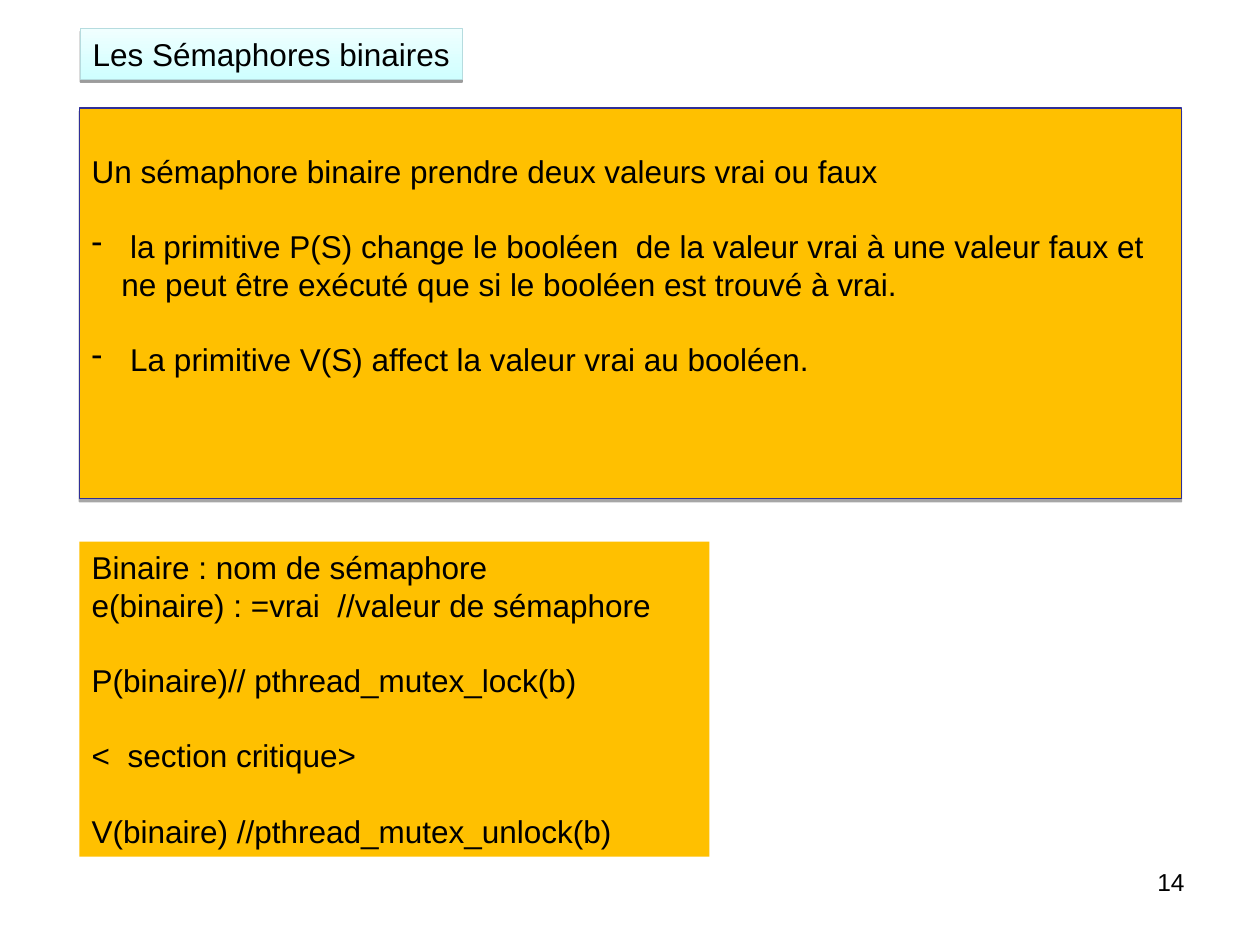
from dataclasses import dataclass
from typing import Optional

import pptx
import pptx.dml.color
import pptx.enum.shapes
import pptx.enum.text
import pptx.oxml
import pptx.oxml.ns
import pptx.util
from pptx.util import Cm

ALIGN = pptx.enum.text.PP_ALIGN


@dataclass(frozen=True)
class Theme:
    font: str = "Arial"
    body: float = 18
    number: float = 14
    leading: float = 1.195
    text: str = "000000"
    amber: str = "FFC000"
    navy: str = "2F2F98"
    pale_cyan: tuple = ("F0FFFF", "CFFFFF")
    cyan_edge: str = "B6DCDF"


@dataclass(frozen=True)
class Line:
    text: str
    gap: bool = False
    bullet: bool = False


@dataclass(frozen=True)
class Shadow:
    distance: float
    opacity: int


@dataclass(frozen=True)
class Panel:
    left: float
    top: float
    width: float
    height: float
    lines: tuple
    fill: Optional[str | tuple] = None
    edge: Optional[str] = None
    shadow: Optional[Shadow] = None
    top_inset: float = 0.13
    wrap: bool = True
    size: float = 18
    align: ALIGN = ALIGN.LEFT


THEME = Theme()

PANELS = (
    Panel(18.21, 17.35, 5.92, 1.32, (Line("14"),), size=THEME.number, align=ALIGN.RIGHT),
    Panel(1.6, 2.18, 22.22, 7.87, (
        Line("Un sémaphore binaire prendre deux valeurs vrai ou faux"),
        Line(" la primitive P(S) change le booléen  de la valeur vrai à une valeur faux et "
             "ne peut être exécuté que si le booléen est trouvé à vrai.", gap=True, bullet=True),
        Line(" La primitive V(S) affect la valeur vrai au booléen.", gap=True, bullet=True),
    ), THEME.amber, THEME.navy, Shadow(1.8, 35), top_inset=0.89),
    Panel(1.62, 0.58, 7.7, 1.02, (Line("Les Sémaphores binaires"),),
          THEME.pale_cyan, THEME.cyan_edge, Shadow(1.6, 38), wrap=False),
    Panel(1.6, 10.92, 12.7, 6.35, (
        Line("Binaire : nom de sémaphore"),
        Line("e(binaire) : =vrai  //valeur de sémaphore"),
        Line("P(binaire)// pthread_mutex_lock(b)", gap=True),
        Line("<  section critique>", gap=True),
        Line("V(binaire) //pthread_mutex_unlock(b)", gap=True),
    ), THEME.amber),
)


def rgb(code: str) -> pptx.dml.color.RGBColor:
    return pptx.dml.color.RGBColor.from_string(code)


def set_all(target, values: dict) -> None:
    for name, value in values.items():
        setattr(target, name, value)


def add_shadow(sp, shadow: Shadow) -> None:
    """Drop a hard shadow straight down from the shape."""
    effects = sp._element.spPr.find(pptx.oxml.ns.qn("a:effectLst"))
    effects.append(pptx.oxml.parse_xml(
        f'<a:outerShdw {pptx.oxml.ns.nsdecls("a")} blurRad="0" '
        f'dist="{pptx.util.Pt(shadow.distance)}" dir="5400000" rotWithShape="0">'
        f'<a:srgbClr val="{THEME.text}"><a:alpha val="{shadow.opacity * 1000}"/></a:srgbClr>'
        '</a:outerShdw>'))


def add_bullet(p) -> None:
    indent = Cm(0.6)
    pPr = p._p.get_or_add_pPr()
    pPr.set("marL", str(indent))
    pPr.set("indent", str(-indent))
    pPr.append(pptx.oxml.parse_xml(
        f'<a:buChar {pptx.oxml.ns.nsdecls("a")} char="-"/>'))


def paint(sp, panel: Panel) -> None:
    sp.shadow.inherit = False
    if isinstance(panel.fill, tuple):
        sp.fill.gradient()
        sp.fill.gradient_angle = 270
        for stop, code in zip(sp.fill.gradient_stops, panel.fill):
            stop.color.rgb = rgb(code)
    else:
        sp.fill.solid()
        sp.fill.fore_color.rgb = rgb(panel.fill)
    if panel.edge:
        sp.line.color.rgb = rgb(panel.edge)
        sp.line.width = pptx.util.Pt(0.75)
    else:
        sp.line.fill.background()
    if panel.shadow:
        add_shadow(sp, panel.shadow)


def write(tf, panel: Panel) -> None:
    set_all(tf, {
        "word_wrap": panel.wrap,
        "vertical_anchor": pptx.enum.text.MSO_ANCHOR.TOP,
        "margin_left": Cm(0.25), "margin_right": Cm(0.25),
        "margin_top": Cm(panel.top_inset), "margin_bottom": Cm(0.13),
    })
    leading = pptx.util.Pt(panel.size * THEME.leading)
    for i, line in enumerate(panel.lines):
        p = tf.add_paragraph() if i else tf.paragraphs[0]
        set_all(p, {"alignment": panel.align, "line_spacing": leading})
        if line.gap:
            p.space_before = leading
        if line.bullet:
            add_bullet(p)
        r = p.add_run()
        r.text = line.text
        set_all(r.font, {"name": THEME.font, "size": pptx.util.Pt(panel.size)})
        r.font.color.rgb = rgb(THEME.text)


def add_panel(s, panel: Panel) -> None:
    box = [Cm(v) for v in (panel.left, panel.top, panel.width, panel.height)]
    if panel.fill:
        sp = s.shapes.add_shape(pptx.enum.shapes.MSO_SHAPE.RECTANGLE, *box)
        paint(sp, panel)
    else:
        sp = s.shapes.add_textbox(*box)
    write(sp.text_frame, panel)


def main() -> None:
    prs = pptx.Presentation()
    set_all(prs, {"slide_width": Cm(25.4), "slide_height": Cm(19.05)})
    s = prs.slides.add_slide(prs.slide_layouts[6])
    for panel in PANELS:
        add_panel(s, panel)
    prs.save("out.pptx")


if __name__ == "__main__":
    main()
